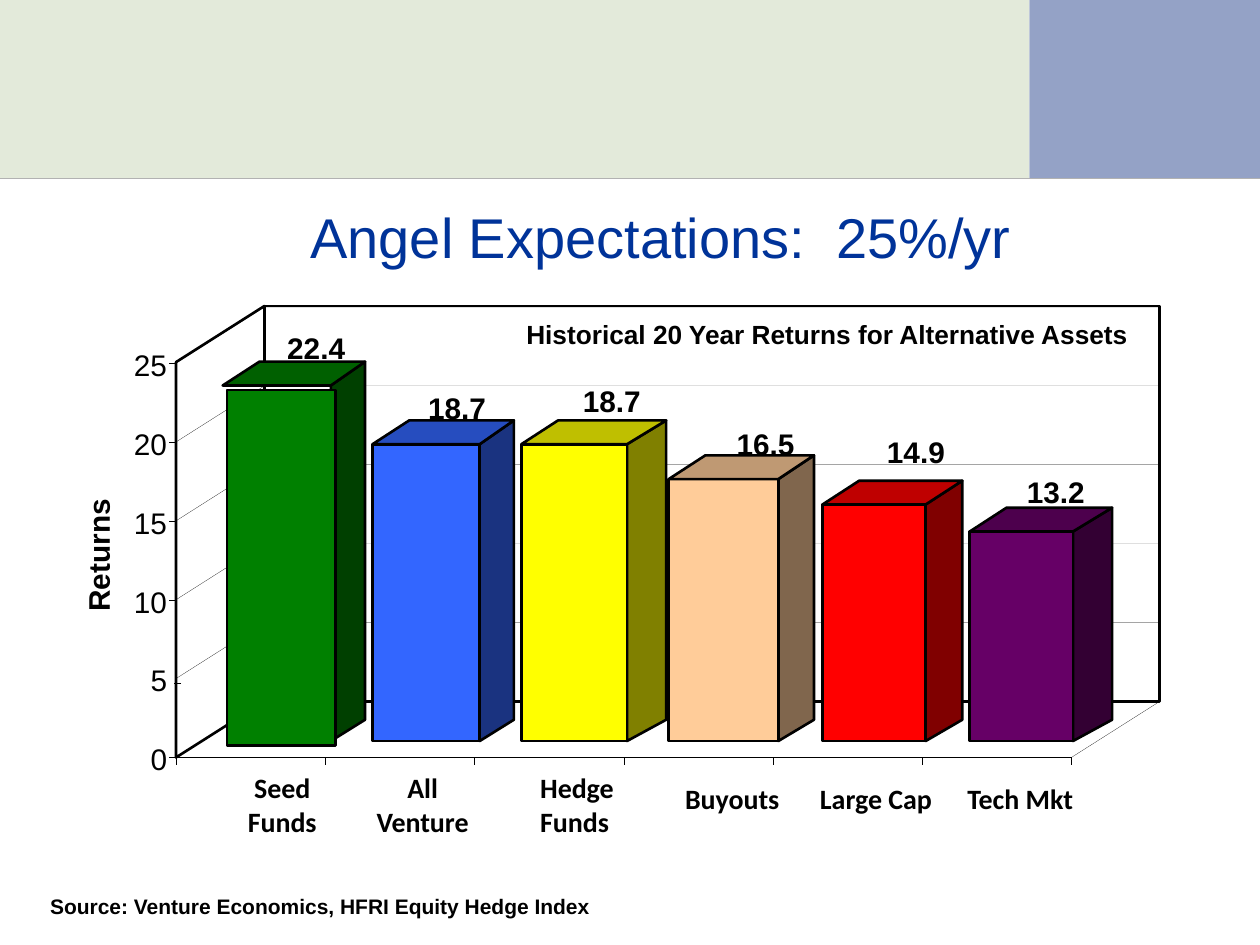
from pptx import Presentation
from pptx.dml.color import RGBColor
from pptx.enum.shapes import MSO_CONNECTOR, MSO_SHAPE
from pptx.enum.text import MSO_ANCHOR, PP_ALIGN
from pptx.oxml.ns import qn
from pptx.util import Cm, Pt
from lxml import etree

HUES = {
    "sage": "E3EADA", "slate": "94A2C6", "rule": "B2B2B2", "title": "003399",
    "ink": "000000", "paper": "FFFFFF", "seed": "008000", "venture": "3366FF",
    "hedge": "FFFF00", "buyout": "FFCC99", "large": "FF0000", "tech": "660066",
}
LEFT, MID, RIGHT = PP_ALIGN.LEFT, PP_ALIGN.CENTER, PP_ALIGN.RIGHT

# hue, value, left, width, depth, value label left and top
BARS = [
    ("seed", 22.4, 0.94, 2.18, 0.69, 2.24, 0.48),
    ("venture", 18.7, 3.96, 2.16, 0.69, 5.08, 1.68),
    ("hedge", 18.7, 6.96, 2.13, 0.79, 8.2, 1.55),
    ("buyout", 16.5, 9.93, 2.21, 0.72, 11.3, 2.41),
    ("large", 14.9, 13.03, 2.08, 0.74, 14.33, 2.57),
    ("tech", 13.2, 16, 2.08, 0.79, 17.15, 3.38),
]
# text, left, top, width, alignment
NAMES = [
    ("Seed Funds", 1.29, 9.37, 1.7, MID),
    ("All Venture", 3.89, 9.37, 2.16, MID),
    ("Hedge Funds", 7.34, 9.37, 1.68, LEFT),
    ("Buyouts", 10.26, 9.58, 2.16, LEFT),
    ("Large Cap", 12.98, 9.58, 2.64, LEFT),
    ("Tech Mkt", 15.95, 9.58, 2.62, LEFT),
]
SKEW, RISE, STEP = 1.78, 1.13, 1.59  # depth of the room, height of five units
UNIT = 0.32
HAIR, BOLD = 0.1, 1.5  # line widths


def shade(hue, part):
    tones = [int(hue[i:i + 2], 16) for i in (0, 2, 4)]
    return "".join(f"{int(tone * part + 0.5):02X}" for tone in tones)


def paint(shape, fill=None, line=None):
    """Set a fill hex and a line width; None means none."""
    shape.shadow.inherit = False
    if fill:
        shape.fill.solid()
        shape.fill.fore_color.rgb = RGBColor.from_string(fill)
    else:
        shape.fill.background()
    if line is None:
        shape.line.fill.background()
    else:
        shape.line.color.rgb = RGBColor.from_string(HUES["ink"])
        shape.line.width = Pt(line)


def block(slide, x, y, w, h, fill=None, line=None):
    shape = slide.shapes.add_shape(MSO_SHAPE.RECTANGLE, Cm(x), Cm(y), Cm(w), Cm(h))
    paint(shape, fill, line)


def outline(slide, dots, fill=None, line=None, close=True):
    dots = [(Cm(x), Cm(y)) for x, y in dots]
    pen = slide.shapes.build_freeform(*dots[0])
    pen.add_line_segments(dots[1:], close=close)
    paint(pen.convert_to_shape(), fill, line)


def stroke(slide, x1, y1, x2, y2, hue="ink", width=HAIR):
    line = slide.shapes.add_connector(
        MSO_CONNECTOR.STRAIGHT, Cm(x1), Cm(y1), Cm(x2), Cm(y2))
    line.line.color.rgb = RGBColor.from_string(HUES[hue])
    line.line.width = Pt(width)
    etree.SubElement(line._element.spPr, qn("a:effectLst"))


def write(slide, box, text, size, hue="ink", font="Arial", bold=True,
          align=LEFT, wrap=False, pad=0, anchor=MSO_ANCHOR.TOP):
    shape = slide.shapes.add_textbox(*(Cm(n) for n in box))
    frame = shape.text_frame
    frame.word_wrap = wrap
    frame.vertical_anchor = anchor
    frame.margin_left = frame.margin_right = Cm(pad)
    frame.margin_top = frame.margin_bottom = Cm(pad / 2)
    para = frame.paragraphs[0]
    para.alignment = align
    run = para.add_run()
    run.text = text
    run.font.size, run.font.name, run.font.bold = Pt(size), font, bold
    run.font.color.rgb = RGBColor.from_string(HUES[hue])
    return shape


def banner(slide, x, y, w, h):
    split = 20.75
    block(slide, x + split, y, w - split, h, HUES["slate"])
    block(slide, x, y, split, h, HUES["sage"])
    stroke(slide, x, y + h, x + w, y + h, "rule", 1)


def room(slide, x, y, w, h):
    """Floor, side wall, back wall and grid lines."""
    back, floor, end = x + SKEW, y + h, x + w
    base = floor - RISE
    outline(slide, [(x, floor), (back, base), (end, base), (end - SKEW, floor)],
            HUES["paper"], HAIR)
    outline(slide, [(x, floor), (x, y + RISE), (back, y), (back, base)],
            HUES["paper"], BOLD)
    block(slide, back, y, w - SKEW, h - RISE, HUES["paper"], BOLD)
    for i in range(6):
        low = floor - i * STEP
        outline(slide, [(x, low), (back, low - RISE), (end, low - RISE)],
                line=HAIR, close=False)


def column(slide, x, y, w, h, depth, hue, shift=0):
    """A solid bar whose front face fills the box, moved by shift."""
    right, end, top, low = x + w, x + w + depth, y - 0.48, y + h
    outline(slide, [(right, low), (right, y), (end, top), (end, low - 0.43)],
            shade(hue, 0.5), BOLD)
    block(slide, x + shift, y + shift, w, h, hue, BOLD)
    outline(slide, [(right, y), (end, top), (x + 0.74, top), (x, y)],
            shade(hue, 0.75), BOLD)


def columns(slide, x, y, w, h):
    for hue, value, left, wide, depth, dx, dy in BARS:
        tall = value * UNIT
        column(slide, x + left, y + h - 0.33 - tall, wide, tall, depth,
               HUES[hue], 0.09 if hue == "seed" else 0)
        write(slide, (x + dx, y + dy, 1.25, 0.71), f"{value}", 17)


def axes(slide, x, y, w, h):
    floor, front = y + h, w - SKEW
    stroke(slide, x, floor, x, y + RISE)
    for i in range(6):
        level = floor - i * STEP
        nudge = 0.1 if i == 1 else 0
        stroke(slide, x + nudge, level + nudge, x - 0.15 + nudge, level + nudge)
        write(slide, (x - 1.18, level - 0.33, 1, 0.71), f"{i * 5}", 17,
              bold=False, align=RIGHT)
    title = write(slide, (x - 2.88, y + 4.67, 2.6, 0.71), "Returns", 17,
                  align=MID)
    title.rotation = 270
    stroke(slide, x, floor, x + front, floor)
    for i in range(7):
        tick = x + i * front / 6
        stroke(slide, tick, floor, tick, floor + 0.15)
    for text, left, top, wide, align in NAMES:
        write(slide, (x + left, y + top, wide, 1.35), text, 16,
              font="Calibri", align=align, wrap=True)


def chart(slide, x, y, w, h):
    room(slide, x, y, w, h)
    columns(slide, x, y, w, h)
    axes(slide, x, y, w, h)
    write(slide, (x + 7.06, y + 0.25, 12.4, 0.64),
          "Historical 20 Year Returns for Alternative Assets", 15)


def main():
    deck = Presentation()
    deck.slide_width, deck.slide_height = Cm(25.4), Cm(19.05)
    slide = deck.slides.add_slide(deck.slide_layouts[6])
    banner(slide, 0, 0, 25.4, 3.6)
    write(slide, (2.11, 3.6, 22.43, 2.34), "Angel Expectations:  25%/yr", 32,
          "title", bold=False, align=MID, wrap=True, pad=0.25,
          anchor=MSO_ANCHOR.MIDDLE)
    write(slide, (0.76, 17.89, 16.51, 0.76),
          "Source: Venture Economics, HFRI Equity Hedge Index", 12,
          wrap=True, pad=0.25, anchor=MSO_ANCHOR.MIDDLE)
    chart(slide, 3.55, 6.17, 19.83, 9.1)
    deck.save("out.pptx")


if __name__ == "__main__":
    main()
